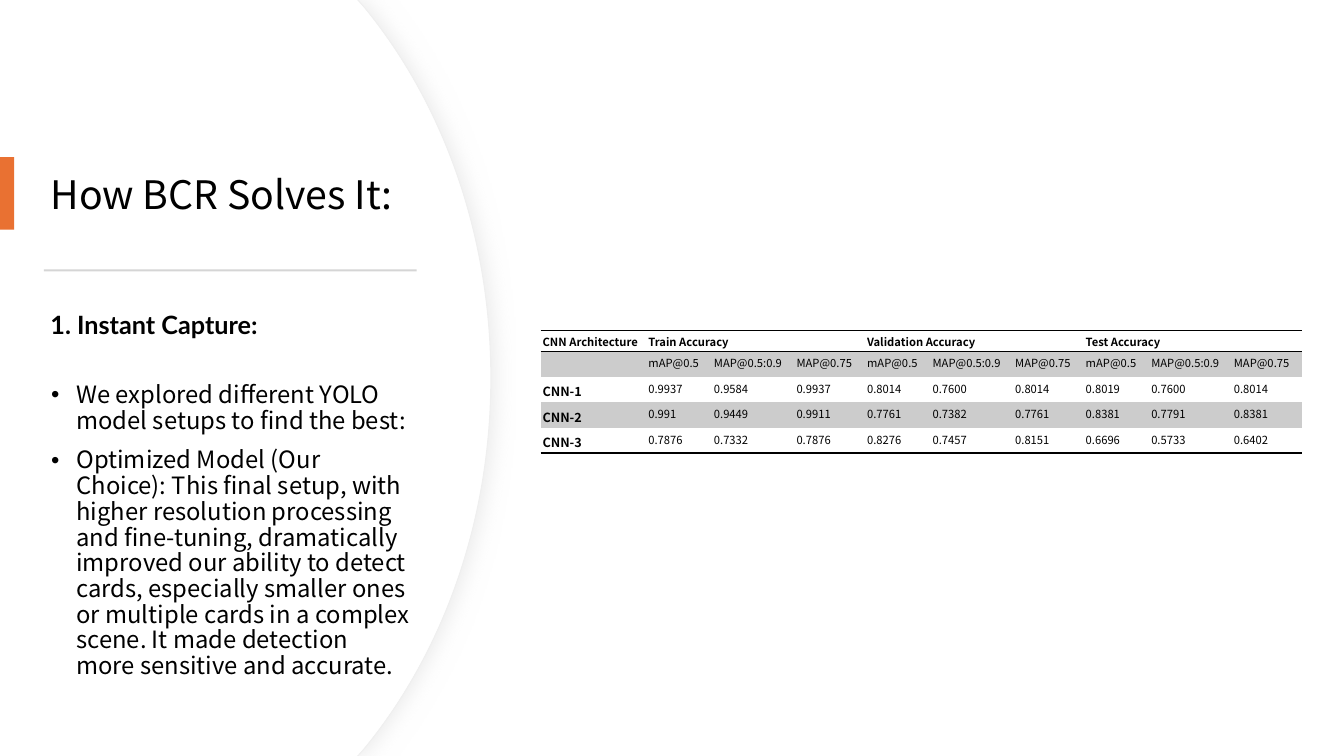
"""Build the slide on instant card capture and its CNN accuracy table."""
from dataclasses import dataclass
from itertools import product

from lxml.etree import SubElement
from pptx import Presentation
from pptx.dml.color import RGBColor
from pptx.enum.shapes import MSO_SHAPE
from pptx.enum.text import MSO_ANCHOR
from pptx.oxml.ns import qn
from pptx.util import Pt

BODY_FONT = "Noto Sans CJK SC"
BLACK, WHITE, GREY = "000000", "FFFFFF", "CCCCCC"
NO_GRID_STYLE = "{2D5ABB26-0587-4C30-8999-92F81FD0307C}"
PANEL_MIDDLE, PANEL_BOTTOM = 270, 540
UNITS_PER_POINT = 100


@dataclass(frozen=True)
class Panel:
    width: float
    outline: str | None = None


@dataclass(frozen=True)
class Bar:
    left: float
    top: float
    width: float
    height: float
    color: str


@dataclass(frozen=True)
class TextBlock:
    left: float
    top: float
    width: float
    height: float
    paragraphs: tuple[str, ...]
    size: float
    font: str = BODY_FONT
    bold: bool = False
    spacing: float = 1.0
    anchor: MSO_ANCHOR = MSO_ANCHOR.TOP
    bulleted: bool = False


PANELS = (Panel(350.64, "EFEFEF"), Panel(349.92))
BARS = (
    Bar(0, 112.3, 10.1, 51.8, "E97132"),
    Bar(31.3, 192.4, 266.4, 1.5, "D5D5D5"),
)
TITLE = TextBlock(29.2, 91.9, 270.7, 97.2, ("How BCR Solves It:",), 28,
                  spacing=0.9, anchor=MSO_ANCHOR.MIDDLE)
FINDINGS = TextBlock(
    29.5, 270, 270.7, 252.7,
    (
        "We explored different YOLO model setups to find the best:",
        "Optimized Model (Our Choice): This final setup, with higher resolution "
        "processing and fine-tuning, dramatically improved our ability to detect "
        "cards, especially smaller ones or multiple cards in a complex scene. "
        "It made detection more sensitive and accurate.",
    ),
    17, spacing=0.9, bulleted=True)
STEP = TextBlock(29, 217.4, 482.4, 28.8, ("1. Instant Capture:",), 18,
                 font="Lato", bold=True)

SPLITS = ("Train Accuracy", "Validation Accuracy", "Test Accuracy")
METRICS = ("mAP@0.5", "MAP@0.5:0.9", "MAP@0.75")
ACCURACY = (
    ("CNN Architecture", *(text for split in SPLITS for text in (split, "", ""))),
    ("", *METRICS * len(SPLITS)),
    ("CNN-1", "0.9937", "0.9584", "0.9937", "0.8014", "0.7600", "0.8014",
     "0.8019", "0.7600", "0.8014"),
    ("CNN-2", "0.991", "0.9449", "0.9911", "0.7761", "0.7382", "0.7761",
     "0.8381", "0.7791", "0.8381"),
    ("CNN-3", "0.7876", "0.7332", "0.7876", "0.8276", "0.7457", "0.8151",
     "0.6696", "0.5733", "0.6402"),
)
COLUMN_WIDTHS = (75.6, *(46.8, 59, 50.4) * len(SPLITS))
ROW_HEIGHTS = (15, *(18.2,) * 4)
RULES = {0: ("a:lnT", "a:lnB"), len(ACCURACY) - 1: ("a:lnB",)}
SHADED_ROWS = (1, 3)


def rgb(color: str) -> RGBColor:
    return RGBColor.from_string(color)


def add_run(paragraph, text: str, size: float, font: str, bold: bool) -> None:
    run = paragraph.add_run()
    run.text = text
    run.font.size = Pt(size)
    run.font.name = font
    run.font.bold = bold
    run.font.color.rgb = rgb(BLACK)


def bend(segment, controls: tuple) -> None:
    """Turn a straight path segment into a cubic curve with the same end."""
    segment.tag = qn("a:cubicBezTo")
    for index, (x, y) in enumerate(controls):
        point = SubElement(segment, qn("a:pt"), x=str(round(x * UNITS_PER_POINT)),
                           y=str(round(y * UNITS_PER_POINT)))
        segment.insert(index, point)


def add_shadow(shape) -> None:
    effects = shape._element.spPr.find(qn("a:effectLst"))
    shadow = SubElement(effects, qn("a:outerShdw"), blurRad=str(Pt(14)),
                        dist=str(Pt(3)), dir="0", algn="l", rotWithShape="0")
    tint = SubElement(shadow, qn("a:srgbClr"), val="D9D9D9")
    SubElement(tint, qn("a:alpha"), val="50000")


def add_panel(slide, panel: Panel) -> None:
    edge = panel.width
    corners = ((edge - 95.04, 0), (edge - 90, 5.76), (edge, PANEL_MIDDLE),
               (edge - 90, PANEL_BOTTOM - 5.76), (edge - 95.04, PANEL_BOTTOM),
               (0, PANEL_BOTTOM))
    builder = slide.shapes.build_freeform(0, 0, scale=Pt(1) / UNITS_PER_POINT)
    builder.add_line_segments([(x * UNITS_PER_POINT, y * UNITS_PER_POINT)
                               for x, y in corners], close=True)
    shape = builder.convert_to_shape()
    segments = list(shape._element.iter(qn("a:lnTo")))
    upper = ((edge - 34.56, 73.44), (edge, 167.04))
    lower = tuple((x, PANEL_BOTTOM - y) for x, y in reversed(upper))
    bend(segments[2], upper)
    bend(segments[3], lower)
    shape.shadow.inherit = False
    shape.fill.solid()
    shape.fill.fore_color.rgb = rgb(WHITE)
    if panel.outline:
        shape.line.color.rgb = rgb(panel.outline)
        shape.line.width = Pt(0.75)
        add_shadow(shape)
    else:
        shape.line.fill.background()


def add_bar(slide, bar: Bar) -> None:
    shape = slide.shapes.add_shape(MSO_SHAPE.RECTANGLE, Pt(bar.left), Pt(bar.top),
                                   Pt(bar.width), Pt(bar.height))
    shape.shadow.inherit = False
    shape.fill.solid()
    shape.fill.fore_color.rgb = rgb(bar.color)
    shape.line.fill.background()


def add_text(slide, block: TextBlock) -> None:
    frame = slide.shapes.add_textbox(Pt(block.left), Pt(block.top), Pt(block.width),
                                     Pt(block.height)).text_frame
    frame.word_wrap = True
    frame.vertical_anchor = block.anchor
    for index, text in enumerate(block.paragraphs):
        paragraph = frame.add_paragraph() if index else frame.paragraphs[0]
        paragraph.line_spacing = block.spacing
        if index:
            paragraph.space_before = Pt(10)
        if block.bulleted:
            properties = paragraph._p.get_or_add_pPr()
            properties.set("marL", str(Pt(18)))
            properties.set("indent", str(-Pt(18)))
            SubElement(properties, qn("a:buFont"), typeface="Arial")
            SubElement(properties, qn("a:buChar"), char="•")
        add_run(paragraph, text, block.size, block.font, block.bold)


def add_rule(cell, side: str) -> None:
    line = SubElement(cell._tc.get_or_add_tcPr(), qn(side), w=str(Pt(1)))
    SubElement(SubElement(line, qn("a:solidFill")), qn("a:srgbClr"), val=BLACK)


def fill_cell(cell, row: int, column: int) -> None:
    cell.margin_left = cell.margin_right = Pt(1.5)
    cell.margin_top = cell.margin_bottom = Pt(0.7)
    for side in RULES.get(row, ()):
        add_rule(cell, side)
    if row in SHADED_ROWS:
        cell.fill.solid()
        cell.fill.fore_color.rgb = rgb(GREY)
    else:
        cell.fill.background()
    is_model = column == 0 and row > 1
    paragraph = cell.text_frame.paragraphs[0]
    paragraph.line_spacing = Pt(16.5 if is_model else 13.5)
    if ACCURACY[row][column]:
        add_run(paragraph, ACCURACY[row][column], 9 if is_model else 8, BODY_FONT,
                is_model or row == 0)
    else:
        SubElement(paragraph._p, qn("a:endParaRPr"), sz="800")


def add_accuracy_table(slide) -> None:
    table = slide.shapes.add_table(
        len(ROW_HEIGHTS), len(COLUMN_WIDTHS), Pt(386.1), Pt(235.8),
        Pt(sum(COLUMN_WIDTHS)), Pt(sum(ROW_HEIGHTS))).table
    table.first_row = table.horz_banding = False
    table._tbl.tblPr.find(qn("a:tableStyleId")).text = NO_GRID_STYLE
    for column, width in zip(table.columns, COLUMN_WIDTHS):
        column.width = Pt(width)
    for row, height in zip(table.rows, ROW_HEIGHTS):
        row.height = Pt(height)
    for row, column in product(range(len(ROW_HEIGHTS)), range(len(COLUMN_WIDTHS))):
        fill_cell(table.cell(row, column), row, column)
    for start in range(1, len(COLUMN_WIDTHS), len(METRICS)):
        table.cell(0, start).merge(table.cell(0, start + len(METRICS) - 1))


def main() -> None:
    deck = Presentation()
    deck.slide_width, deck.slide_height = Pt(960), Pt(540)
    slide = deck.slides.add_slide(deck.slide_layouts[6])
    for panel in PANELS:
        add_panel(slide, panel)
    for bar in BARS:
        add_bar(slide, bar)
    for block in (TITLE, FINDINGS, STEP):
        add_text(slide, block)
    add_accuracy_table(slide)
    deck.save("out.pptx")


if __name__ == "__main__":
    main()
